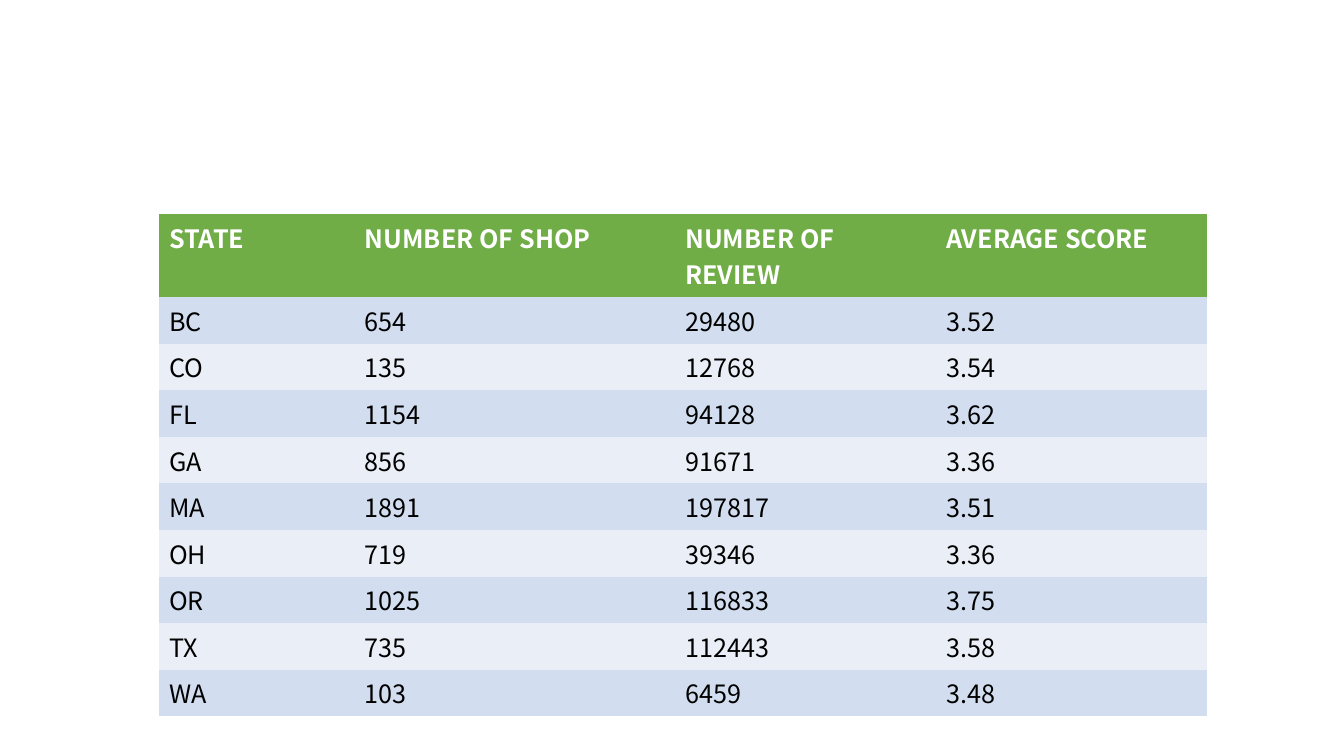
from pptx import Presentation
from pptx.dml.color import RGBColor
from pptx.util import Pt

COLORS = {
    "header": "70AD47",
    "band_dark": "D2DEEF",
    "band_light": "EAEFF7",
    "header_text": "FFFFFF",
    "body_text": "000000",
}
FONT = "Noto Sans CJK SC"
NO_GRID_STYLE = "{2D5ABB26-0587-4C30-8999-92F81FD0307C}"
ROW_HEIGHT = 29.2
COLUMN_WIDTHS = [139.7, 229, 186.5, 193.7]
ROWS = [
    ("STATE", "NUMBER OF SHOP", "NUMBER OF REVIEW", "AVERAGE SCORE"),
    ("BC", "654", "29480", "3.52"),
    ("CO", "135", "12768", "3.54"),
    ("FL", "1154", "94128", "3.62"),
    ("GA", "856", "91671", "3.36"),
    ("MA", "1891", "197817", "3.51"),
    ("OH", "719", "39346", "3.36"),
    ("OR", "1025", "116833", "3.75"),
    ("TX", "735", "112443", "3.58"),
    ("WA", "103", "6459", "3.48"),
]


def write_text(text_frame, text, color, size=18, bold=False):
    run = text_frame.paragraphs[0].add_run()
    run.text = text
    run.font.name = FONT
    run.font.size = Pt(size)
    run.font.bold = bold
    run.font.color.rgb = RGBColor.from_string(COLORS[color])


presentation = Presentation()
presentation.slide_width = Pt(960)
presentation.slide_height = Pt(540)
slide = presentation.slides.add_slide(presentation.slide_layouts[6])

table_shape = slide.shapes.add_table(
    len(ROWS), len(COLUMN_WIDTHS), Pt(113.6), Pt(152.8),
    Pt(sum(COLUMN_WIDTHS)), Pt(ROW_HEIGHT * len(ROWS)),
)
table = table_shape.table
for style in table_shape.element.xpath(".//a:tableStyleId"):
    style.text = NO_GRID_STYLE
for column, width in zip(table.columns, COLUMN_WIDTHS):
    column.width = Pt(width)

for row_index, values in enumerate(ROWS):
    is_header = row_index == 0
    band = "band_dark" if row_index % 2 else "band_light"
    fill_color = "header" if is_header else band
    text_color = "header_text" if is_header else "body_text"
    table.rows[row_index].height = Pt(ROW_HEIGHT)
    for column_index, value in enumerate(values):
        cell = table.cell(row_index, column_index)
        cell.fill.solid()
        cell.fill.fore_color.rgb = RGBColor.from_string(COLORS[fill_color])
        write_text(cell.text_frame, value, text_color, bold=is_header)

presentation.save("out.pptx")
